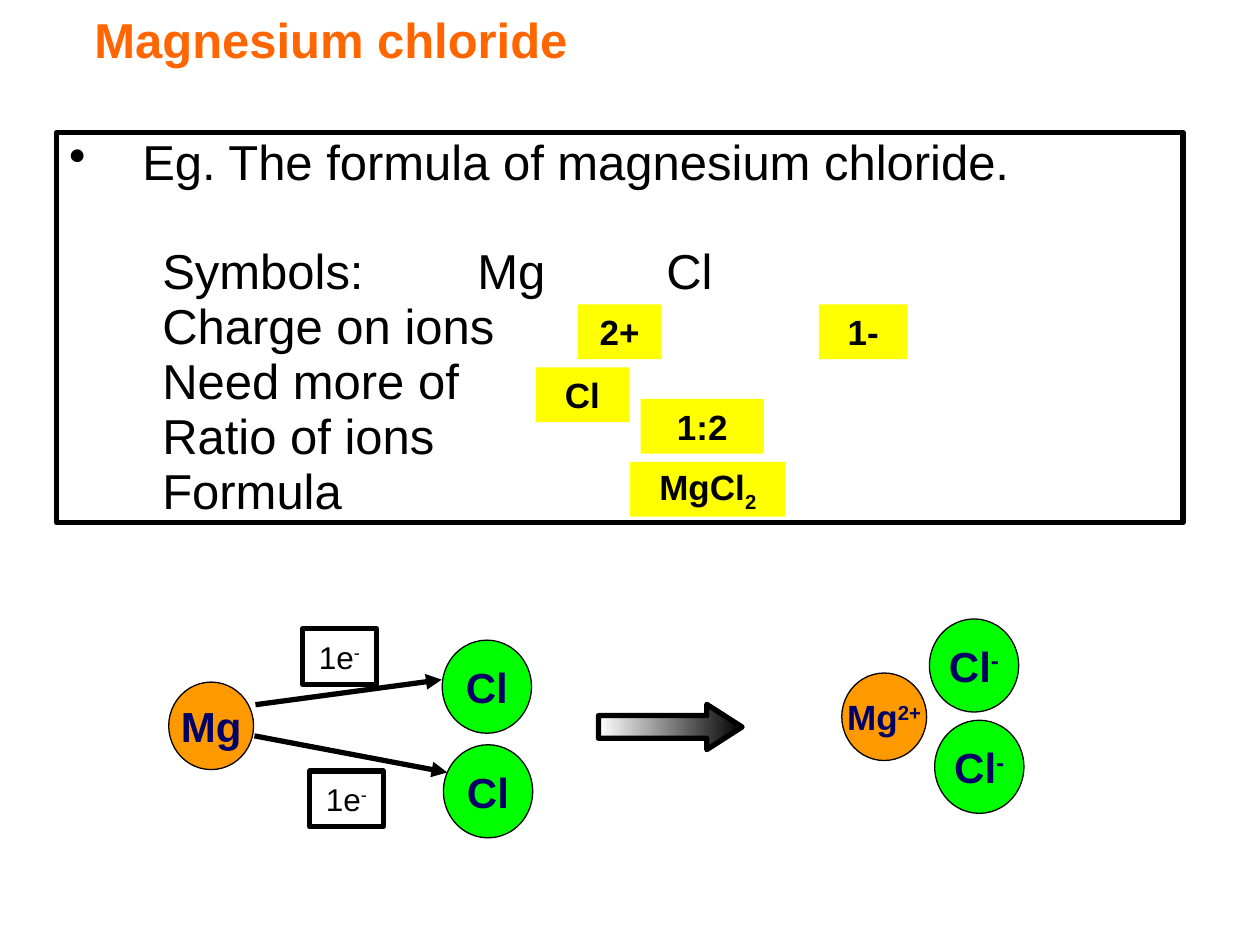
"""Build a slide showing how the formula of magnesium chloride is found."""
import dataclasses

import pptx
import pptx.dml.color
import pptx.enum.shapes
import pptx.enum.text
import pptx.oxml.ns
import pptx.util
from lxml import etree

Pt = pptx.util.Pt
Rgb = pptx.dml.color.RGBColor.from_string
Shape = pptx.enum.shapes.MSO_SHAPE
Align = pptx.enum.text.PP_ALIGN
Anchor = pptx.enum.text.MSO_ANCHOR
qn = pptx.oxml.ns.qn


@dataclasses.dataclass(frozen=True)
class Theme:
    font: str = "Arial"
    ink: str = "000000"
    paper: str = "FFFFFF"
    title: str = "FF6600"
    answer: str = "FFFF00"
    chlorine: str = "00FF00"
    magnesium: str = "FF9900"
    symbol: str = "000066"
    body_size: int = 28
    symbol_size: int = 24
    answer_size: int = 20
    electron_size: int = 18
    thick: float = 3
    thin: float = 0.75


class Deck:
    def __init__(self, prs, theme):
        self.theme = theme
        self.slide = prs.slides.add_slide(prs.slide_layouts[6])

    def add_run(self, p, text, size, color=None, bold=False, baseline=0):
        r = p.add_run()
        r.text = text
        r.font.name = self.theme.font
        r.font.size = Pt(size)
        r.font.bold = bold
        r.font.color.rgb = Rgb(color or self.theme.ink)
        if baseline:
            r._r.get_or_add_rPr().set("baseline", str(baseline * 1000))

    def shape(self, kind, box, fill=None, line=None):
        sp = self.slide.shapes.add_shape(kind, *map(Pt, box))
        sp.shadow.inherit = False
        if fill:
            sp.fill.solid()
            sp.fill.fore_color.rgb = Rgb(fill)
        else:
            sp.fill.background()
        if line:
            sp.line.color.rgb = Rgb(self.theme.ink)
            sp.line.width = Pt(line)
        else:
            sp.line.fill.background()
        return sp

    def label(self, sp, base, size, color=None, bold=True, script="", baseline=30):
        tf = sp.text_frame
        tf.word_wrap = False
        tf.vertical_anchor = Anchor.MIDDLE
        p = tf.paragraphs[0]
        p.alignment = Align.CENTER
        self.add_run(p, base, size, color, bold)
        if script:
            self.add_run(p, script, size, color, bold, baseline)

    def title(self, text, box, inset):
        tf = self.slide.shapes.add_textbox(*map(Pt, box)).text_frame
        tf.word_wrap = True
        tf.vertical_anchor = Anchor.MIDDLE
        tf.margin_left = Pt(inset)
        self.add_run(tf.paragraphs[0], text, self.theme.body_size, self.theme.title, True)

    def body(self, heading, rows, box):
        tf = self.shape(Shape.RECTANGLE, box, self.theme.paper, self.theme.thick).text_frame
        tf.word_wrap = True
        tf.vertical_anchor = Anchor.TOP
        for i, text in enumerate([heading, *rows]):
            p = tf.add_paragraph() if i else tf.paragraphs[0]
            p.alignment = Align.LEFT
            p.line_spacing = 0.9
            p.space_before = Pt((0, 31.6)[i] if i < 2 else 1.3)
            margin, indent = (89.3, -36) if i else (41.8, -41.8)
            pPr = p._p.get_or_add_pPr()
            pPr.set("marL", str(Pt(margin)))
            pPr.set("indent", str(Pt(indent)))
            if i:
                etree.SubElement(pPr, qn("a:buNone"))
            else:
                etree.SubElement(pPr, qn("a:buChar")).set("char", "•")
            self.add_run(p, text, self.theme.body_size)

    def answer(self, box, text, script=""):
        sp = self.shape(Shape.RECTANGLE, box, self.theme.answer)
        self.label(sp, text, self.theme.answer_size, script=script, baseline=-25)

    def atom(self, left, top, symbol, charge="", size=None):
        t = self.theme
        fill, w, h = {"Mg": (t.magnesium, 48.5, 50), "Cl": (t.chlorine, 51, 53.2)}[symbol]
        sp = self.shape(Shape.OVAL, (left, top, w, h), fill, t.thin)
        self.label(sp, symbol, size or t.symbol_size, t.symbol, script=charge)

    def electron(self, left, top):
        sp = self.shape(Shape.RECTANGLE, (left, top, 42, 31.8), line=self.theme.thick)
        self.label(sp, "1e", self.theme.electron_size, bold=False, script="-")

    def transfer(self, start, end):
        cx = self.slide.shapes.add_connector(
            pptx.enum.shapes.MSO_CONNECTOR.STRAIGHT, *map(Pt, (*start, *end)))
        cx.line.color.rgb = Rgb(self.theme.ink)
        cx.line.width = Pt(self.theme.thick)
        ln = cx.line._get_or_add_ln()
        etree.SubElement(ln, qn("a:tailEnd")).set("type", "triangle")
        etree.SubElement(cx._element.spPr, qn("a:effectLst"))

    def reaction_arrow(self, box):
        sp = self.shape(Shape.RIGHT_ARROW, box, line=self.theme.thick)
        sp.adjustments[0], sp.adjustments[1] = 0.5, 0.78
        sp.fill.gradient()
        sp.fill.gradient_angle = 0
        colors = (self.theme.paper, self.theme.ink)
        for pos, (stop, color) in enumerate(zip(sp.fill.gradient_stops, colors)):
            stop.position = pos
            stop.color.rgb = Rgb(color)


def main():
    prs = pptx.Presentation()
    prs.slide_width, prs.slide_height = Pt(720), Pt(540)
    s = Deck(prs, Theme())

    s.body("Eg. The formula of magnesium chloride.",
           ["Symbols:\t\tMg\t\tCl", "Charge on ions", "Need more of",
            "Ratio of ions", "Formula"],
           (32.4, 75.6, 643.6, 223.2))
    s.reaction_arrow((342, 402.5, 82.1, 25.9))

    for left, top, width, *text in (
            (330, 174, 48, "2+"), (468, 174, 50.5, "1-"), (306, 210, 53.5, "Cl"),
            (366, 228, 70.5, "1:2"), (360, 264, 89, "MgCl", "2")):
        s.answer((left, top, width, 31.2), *text)

    s.atom(253.4, 425.6, "Cl")
    s.atom(96.4, 389.8, "Mg")
    s.atom(252.7, 365.8, "Cl")
    for start, end, box in (((145.4, 420.5), (255.6, 441.4), (177, 440.6)),
                            ((146, 402.7), (252.4, 388.4), (173, 359.3))):
        s.transfer(start, end)
        s.electron(*box)

    s.atom(534.1, 411.6, "Cl", "-")
    s.atom(481, 384.6, "Mg", "2+", s.theme.answer_size)
    s.atom(531.1, 353.7, "Cl", "-")

    s.title("Magnesium chloride", (0, 1.5, 615, 41), 54)
    prs.save("out.pptx")


if __name__ == "__main__":
    main()
